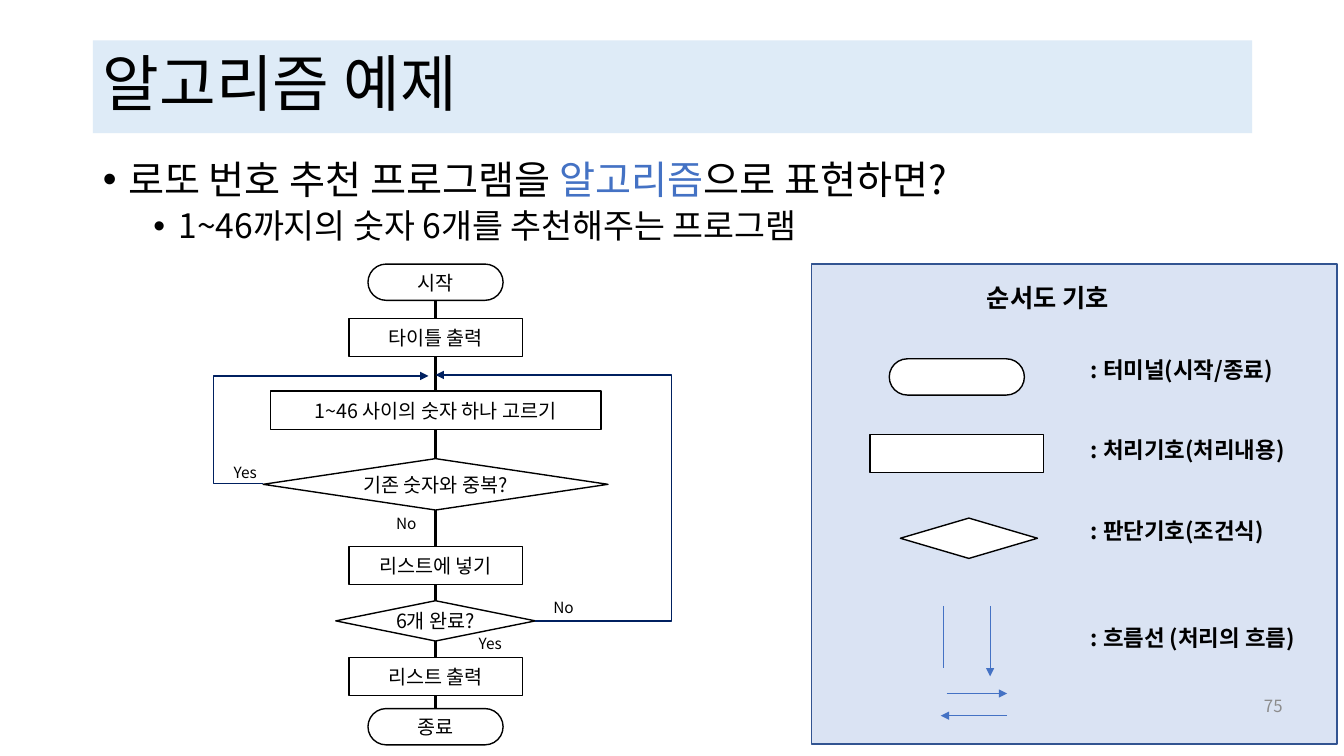
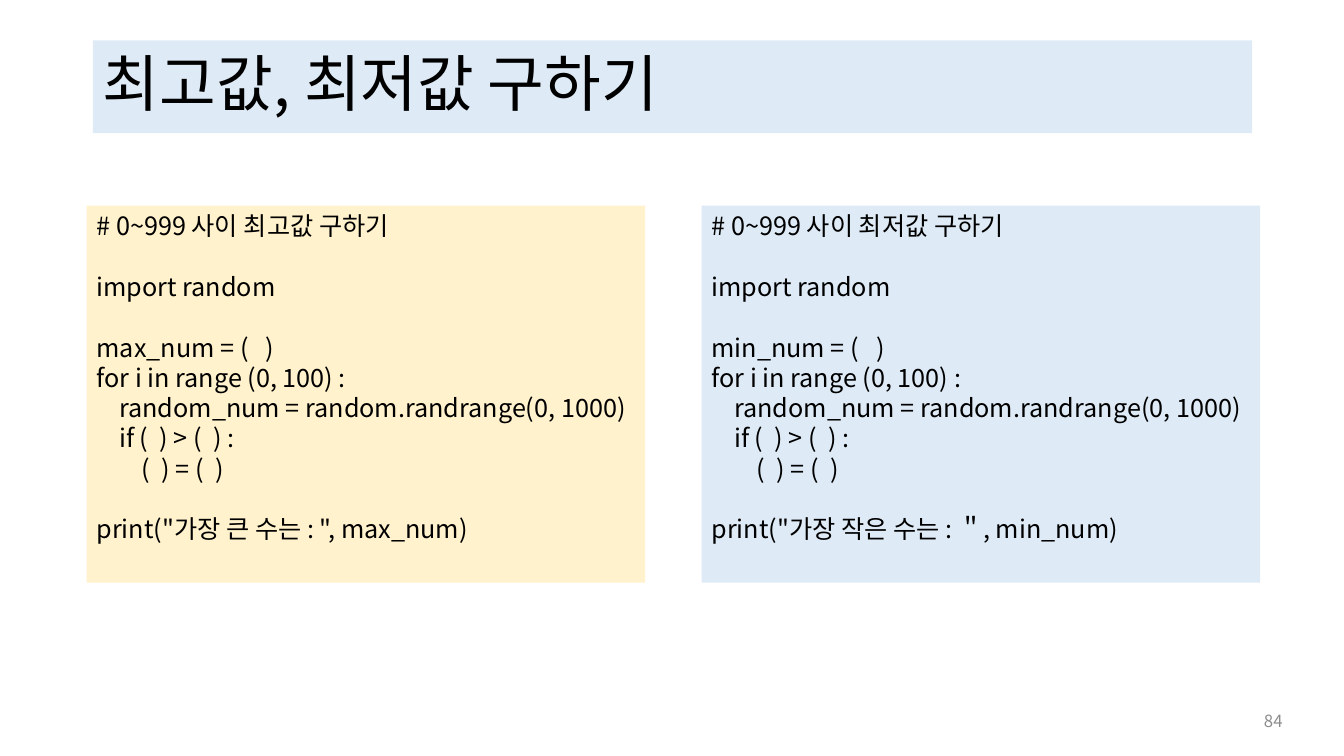
from lxml import etree
from pptx import Presentation
from pptx.dml.color import RGBColor
from pptx.enum.shapes import MSO_CONNECTOR, MSO_SHAPE
from pptx.enum.text import MSO_ANCHOR, MSO_AUTO_SIZE, PP_ALIGN
from pptx.oxml.ns import qn
from pptx.util import Inches, Pt

FONT = "Noto Sans CJK KR"
BLACK, WHITE, GREY = "000000", "FFFFFF", "8C8C8C"
BLUE, NAVY, EDGE = "4472C4", "002060", "325491"
PALE, PANEL, CREAM = "DEEBF7", "DAE3F3", "FFF2CC"
RECT, ROUND = MSO_SHAPE.RECTANGLE, MSO_SHAPE.ROUNDED_RECTANGLE
CHOICE = MSO_SHAPE.FLOWCHART_DECISION
STRAIGHT, ELBOW = MSO_CONNECTOR.STRAIGHT, MSO_CONNECTOR.ELBOW
LEFT, CENTER, RIGHT = PP_ALIGN.LEFT, PP_ALIGN.CENTER, PP_ALIGN.RIGHT
TOP, MIDDLE = MSO_ANCHOR.TOP, MSO_ANCHOR.MIDDLE
FIXED = MSO_AUTO_SIZE.NONE

# Flow chart: kind, text, top, width, height; all centred on AXIS
AXIS = 4.32
STEPS = [
    (ROUND, "시작", 2.62, 1.34, 0.36),
    (RECT, "타이틀 출력", 3.16, 1.72, 0.38),
    (RECT, "1~46 사이의 숫자 하나 고르기", 3.88, 3.28, 0.38),
    (CHOICE, "기존 숫자와 중복?", 4.55, 3.42, 0.51),
    (RECT, "리스트에 넣기", 5.42, 1.72, 0.38),
    (CHOICE, "6개 완료?", 5.96, 1.98, 0.4),
    (RECT, "리스트 출력", 6.52, 1.72, 0.38),
    (ROUND, "종료", 7.03, 1.34, 0.36),
]
ANSWERS = [("No", 3.83, 5.05), ("Yes", 2.22, 4.54),
           ("No", 5.39, 5.88), ("Yes", 4.65, 6.24)]
# Loops back: start, end, x of the outer turn
LOOPS = [((2.61, 4.8), (4.25, 3.73), 2.12),
         ((5.31, 6.16), (AXIS, 3.72), 6.66)]

# Legend: symbols by kind and place, flow lines by ends, labels by gap above
SYMBOLS = [(ROUND, (8.82, 3.56, 1.34, 0.36)),
           (RECT, (8.63, 4.31, 1.72, 0.38)),
           (CHOICE, (8.93, 5.14, 1.36, 0.4))]
FLOWS = [((9.36, 6.01), (9.36, 6.63), False),
         ((9.82, 6.01), (9.82, 6.71), True),
         ((9.39, 6.88), (9.99, 6.88), True),
         ((9.99, 7.1), (9.33, 7.1), True)]
LABELS = [(": 터미널(시작/종료)", 0), (": 처리기호(처리내용)", 38.5),
          (": 판단기호(조건식)", 38.5), (": 흐름선 (처리의 흐름)", 57.5)]

BULLETS = [
    (0, 28, [("로또 번호 추천 프로그램을 ", BLACK), ("알고리즘", BLUE),
             ("으로 표현하면?", BLACK)]),
    (1, 24, [("1~46까지의 숫자 6개를 추천해주는 프로그램", BLACK)]),
]

# Code panels: left, fill, blocks of lines
GAP = 21.7
PANELS = [
    (0.86, CREAM, "최고값", "max_num", 'print("가장 큰 수는 : ", max_num)'),
    (6.96, PALE, "최저값", "min_num", 'print("가장 작은 수는 : ＂, min_num)'),
]


def code(goal, name, last):
    return [
        [f"# 0~999 사이 {goal} 구하기"],
        ["import random"],
        [f"{name} = (   )",
         "for i in range (0, 100) :",
         "    random_num = random.randrange(0, 1000)",
         "    if (  ) > (  ) :",
         "        (  ) = (  )"],
        [last],
    ]


def rgb(text):
    return RGBColor.from_string(text)


def place(shape, box):
    for name, size in zip(("left", "top", "width", "height"), box):
        setattr(shape, name, Inches(size))


def run(para, text, size, color=BLACK, bold=False):
    part = para.add_run()
    part.text = text
    for name, value in {"name": FONT, "size": Pt(size), "bold": bold}.items():
        setattr(part.font, name, value)
    part.font.color.rgb = rgb(color)
    etree.SubElement(part.font._element, qn("a:ea"), typeface=FONT)


def write(shape, lines, size, color=BLACK, bold=False, align=LEFT, **frame):
    """Fill a shape with (text, points above) lines."""
    body = shape.text_frame
    format = {"word_wrap": True, "auto_size": FIXED, "vertical_anchor": TOP}
    for name, value in {**format, **frame}.items():
        setattr(body, name, value)
    for i, (text, above) in enumerate(lines):
        para = body.add_paragraph() if i else body.paragraphs[0]
        para.alignment = align
        para.space_before = Pt(above)
        run(para, text, size, color, bold)
    return body


def label(slide, text, box, size, **format):
    shape = slide.shapes.add_textbox(*map(Inches, box))
    write(shape, [(text, 0)], size, **format)


def block(slide, kind, box, fill=WHITE, edge=BLACK):
    shape = slide.shapes.add_shape(kind, *map(Inches, box))
    shape.shadow.inherit = False
    shape.fill.solid()
    shape.fill.fore_color.rgb = rgb(fill)
    if edge:
        shape.line.color.rgb = rgb(edge)
        shape.line.width = Pt(1)
    else:
        shape.line.fill.background()
    if kind == ROUND:
        shape.adjustments[0] = 0.5
    return shape


def link(slide, start, end, color, width, arrow=True, turn=None):
    """Draw a line; turn is the x where an elbow changes direction."""
    kind = STRAIGHT if turn is None else ELBOW
    line = slide.shapes.add_connector(kind, *map(Inches, start + end))
    line.line.color.rgb = rgb(color)
    line.line.width = Pt(width)
    props = line._element.spPr
    if arrow:
        etree.SubElement(props.find(qn("a:ln")), qn("a:tailEnd"), type="triangle")
    etree.SubElement(props, qn("a:effectLst"))
    if turn is not None:
        bend = round((turn - start[0]) / (end[0] - start[0]) * 100000)
        guides = props.find(qn("a:prstGeom")).find(qn("a:avLst"))
        etree.SubElement(guides, qn("a:gd"), name="adj1", fmla=f"val {bend}")


def page(deck, layout, title, number, top):
    slide = deck.slides.add_slide(deck.slide_layouts[layout])
    head = slide.shapes.title
    place(head, (0.92, 0.4, 11.5, 0.92))
    head.fill.solid()
    head.fill.fore_color.rgb = rgb(PALE)
    body = write(head, [(title, 0)], 44, vertical_anchor=MIDDLE)
    body.paragraphs[0].line_spacing = 0.9
    label(slide, number, (11.81, top, 1.01, 0.4), 12, color=GREY,
          align=RIGHT, vertical_anchor=MIDDLE)
    return slide


def bullets(shape):
    place(shape, (0.92, 1.54, 11.5, 5.22))
    body = shape.text_frame
    body.auto_size = FIXED
    for i, (level, size, runs) in enumerate(BULLETS):
        para = body.add_paragraph() if i else body.paragraphs[0]
        para.level = level
        para.line_spacing = 0.9
        para.space_before = Pt(5 * i)
        props = para._p.get_or_add_pPr()
        props.set("marL", str(Inches(0.25 + 0.5 * level)))
        props.set("indent", str(Inches(-0.25)))
        etree.SubElement(props, qn("a:buFont"), typeface="Arial")
        etree.SubElement(props, qn("a:buChar"), char="•")
        for text, color in runs:
            run(para, text, size, color)


def chart(slide):
    link(slide, (AXIS, 2.98), (AXIS, 7.19), BLACK, 1.5, arrow=False)
    for kind, text, top, width, height in STEPS:
        step = block(slide, kind, (AXIS - width / 2, top, width, height))
        write(step, [(text, 0)], 14, align=CENTER, vertical_anchor=MIDDLE,
              word_wrap=False, margin_top=0, margin_bottom=0)
    for start, end, turn in LOOPS:
        link(slide, start, end, NAVY, 1, turn=turn)
    for text, left, top in ANSWERS:
        label(slide, text, (left, top, 0.44, 0.29), 11, word_wrap=False)


def legend(slide):
    block(slide, RECT, (8.05, 2.62, 5.21, 4.76), PANEL, EDGE)
    label(slide, "순서도 기호", (9.69, 2.75, 1.55, 0.4), 18, bold=True,
          word_wrap=False)
    for kind, box in SYMBOLS:
        block(slide, kind, box)
    for start, end, arrow in FLOWS:
        link(slide, start, end, BLUE, 0.5, arrow)
    shape = slide.shapes.add_textbox(*map(Inches, (10.72, 3.48, 2.45, 3.06)))
    write(shape, LABELS, 16, bold=True)


def main():
    deck = Presentation()
    deck.slide_width, deck.slide_height = Inches(13.33), Inches(7.5)

    slide = page(deck, 1, "알고리즘 예제", "75", 6.8)
    bullets(slide.placeholders[1])
    legend(slide)
    chart(slide)
    # The page number lies on top of the legend panel
    number = next(s for s in slide.shapes if s.has_text_frame
                  and s.text_frame.text == "75")
    slide.shapes._spTree.append(number._element)

    slide = page(deck, 5, "최고값, 최저값 구하기", "84", 6.95)
    for left, fill, *words in PANELS:
        shape = block(slide, RECT, (left, 2.04, 5.54, 3.74), fill, None)
        lines = [(text, GAP if i and not j else 0)
                 for i, part in enumerate(code(*words))
                 for j, text in enumerate(part)]
        write(shape, lines, 18)
    deck.save("out.pptx")


if __name__ == "__main__":
    main()
